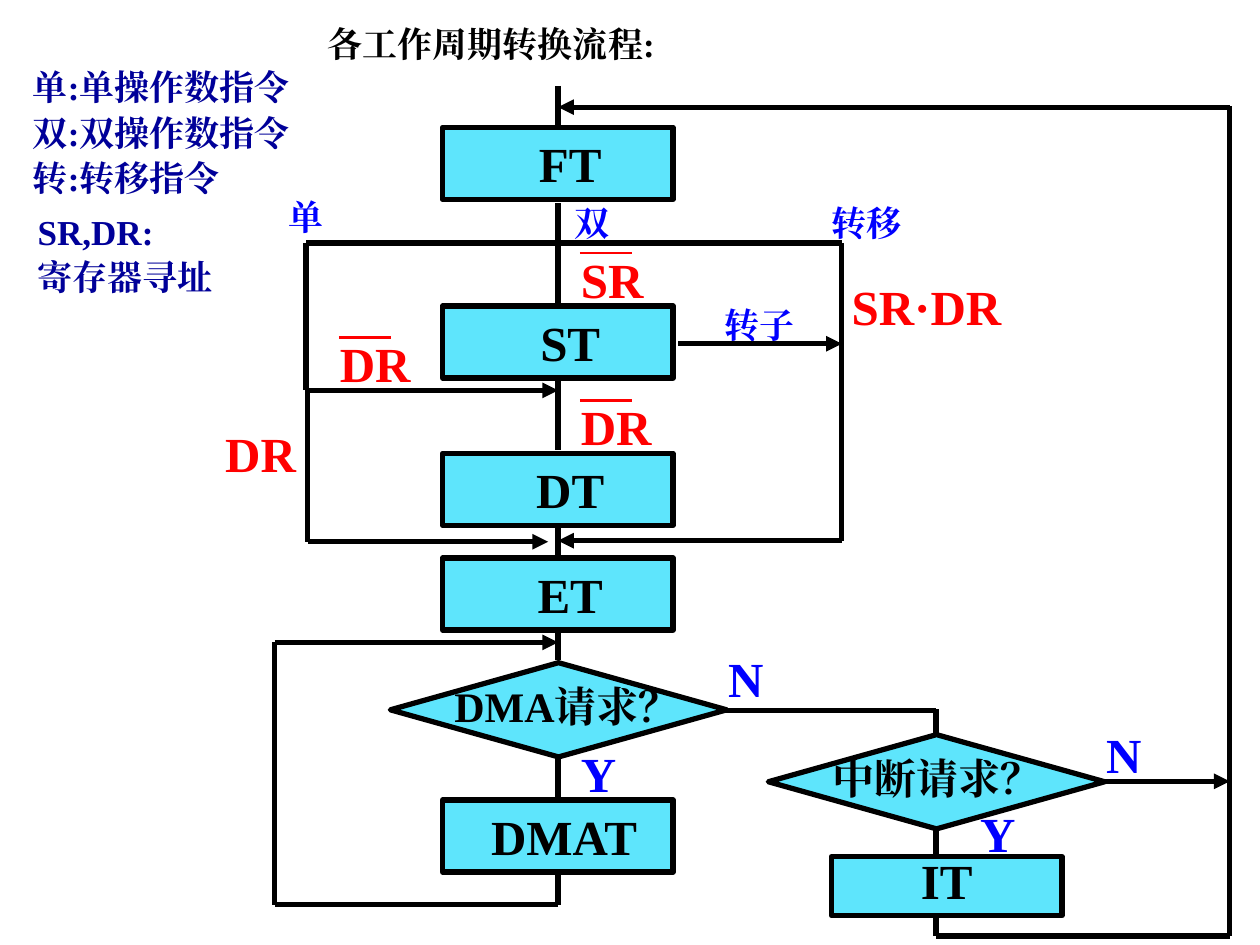
from pptx import Presentation
from pptx.dml.color import RGBColor
from pptx.enum.shapes import MSO_CONNECTOR, MSO_SHAPE
from pptx.enum.text import MSO_ANCHOR, PP_ALIGN
from pptx.oxml.ns import qn
from pptx.util import Cm, Pt
from lxml.etree import SubElement

BLACK, NAVY, BLUE, RED, CYAN = "000000", "000099", "0000FF", "FF0000", "5EE5FC"


def color(value):
    return RGBColor.from_string(value)


class FlowSlide:
    font = "Times New Roman"
    stroke = 3

    def __init__(self, deck):
        self.slide = deck.slides.add_slide(deck.slide_layouts[5])
        self.shapes = self.slide.shapes

    def set_text(self, shape, text, size, ink, align=PP_ALIGN.LEFT, before=0, anchor=MSO_ANCHOR.TOP):
        frame = shape.text_frame
        frame.text = text
        frame.word_wrap = True
        frame.vertical_anchor = anchor
        for paragraph in frame.paragraphs:
            paragraph.alignment = align
            paragraph.space_before = Pt(before)
            for run in paragraph.runs:
                run.font.name, run.font.size, run.font.bold = self.font, Pt(size), True
                run.font.color.rgb = color(ink)
                SubElement(run.font._element, qn("a:ea"), typeface=self.font)

    def title(self, text, x, y, w, h):
        heading = self.shapes.title
        heading.left, heading.top, heading.width, heading.height = Cm(x), Cm(y), Cm(w), Cm(h)
        self.set_text(heading, text, 20, BLACK)

    def label(self, text, x, y, w, size=20, ink=BLUE, before=3):
        box = self.shapes.add_textbox(Cm(x), Cm(y), Cm(w), Cm(size * 0.05))
        self.set_text(box, text, size, ink, before=before)

    def node(self, kind, x, y, w, h):
        shape = self.shapes.add_shape(kind, Cm(x), Cm(y), Cm(w), Cm(h))
        shape.shadow.inherit = False
        shape.fill.solid()
        shape.fill.fore_color.rgb = color(CYAN)
        shape.line.color.rgb = color(BLACK)
        shape.line.width = Pt(self.stroke)
        return shape

    def step(self, text, x, y, h=1.45, indent=0.0, before=3, anchor=MSO_ANCHOR.TOP):
        shape = self.node(MSO_SHAPE.RECTANGLE, x, y, 4.65, h)
        self.set_text(shape, text, 28, BLACK, PP_ALIGN.CENTER, before, anchor)
        shape.text_frame.margin_left = Cm(0.25 + indent)

    def decision(self, text, x, y):
        self.node(MSO_SHAPE.FLOWCHART_DECISION, x, y, 6.78, 1.9)
        self.label(text, x + 1.04, y + 0.23, 5.51, 24, BLACK)

    def line(self, x1, y1, x2, y2, arrow=False, ink=BLACK, width=stroke):
        link = self.shapes.add_connector(MSO_CONNECTOR.STRAIGHT, Cm(x1), Cm(y1), Cm(x2), Cm(y2))
        link.line.color.rgb = color(ink)
        link.line.width = Pt(width)
        if arrow:
            SubElement(link.line._get_or_add_ln(), qn("a:tailEnd"), type="triangle")
        SubElement(link._element.spPr, qn("a:effectLst"))

    def negated(self, text, x, y):
        self.label(text, x, y, 2.54, 28, RED)
        self.line(x + 0.23, y + 0.2, x + 1.28, y + 0.2, ink=RED, width=1.5)


deck = Presentation()
deck.slide_width, deck.slide_height = Cm(25.4), Cm(19.05)
flow = FlowSlide(deck)

# Title and legend
flow.title("各工作周期转换流程:", 6.35, 0.33, 8, 1.1)
flow.label("单:单操作数指令\n双:双操作数指令\n转:转移指令", 0.41, 1.2, 8, ink=NAVY, before=2)
flow.label("SR,DR:\n寄存器寻址", 0.51, 4.11, 7, ink=NAVY, before=2)

# Cycle steps and decisions
spine, left, right, bus = 11.25, 6.17, 16.97, 24.79
interrupt, dma_return = 18.87, 5.54
for name, top in (("FT", 2.57), ("ST", 6.17), ("DT", 9.14), ("ET", 11.25)):
    flow.step(name, 8.92, top, indent=0.5)
flow.step("DMAT", 8.92, 16.13, indent=0.25)
flow.step("IT", 16.76, 17.27, 1.19, before=0, anchor=MSO_ANCHOR.BOTTOM)
flow.decision("DMA请求？", 7.87, 13.36)
flow.decision("中断请求？", 15.49, 14.81)

# Main spine
for start, end in ((1.73, 2.57), (4.09, 6.17), (7.67, 9.07), (10.59, 11.18),
                   (12.73, 13.31), (15.27, 16.13), (17.58, 18.24)):
    flow.line(spine, start, spine, end)

# Branches by instruction type
flow.line(left, 4.9, right, 4.9)
flow.line(left, 4.9, left, 7.87)
flow.line(left, 7.87, spine, 7.87, arrow=True)
flow.line(6.2, 7.82, 6.2, 10.92)
flow.line(6.2, 10.92, 11.05, 10.92, arrow=True)
flow.line(right, 4.9, right, 10.9)
flow.line(right, 10.9, spine, 10.9, arrow=True)
flow.line(13.67, 6.93, right, 6.93, arrow=True)

# DMA loop
flow.line(dma_return, 18.24, spine, 18.24)
flow.line(dma_return, 18.24, dma_return, 12.95)
flow.line(dma_return, 12.95, spine, 12.95, arrow=True)

# Interrupt branch and return to FT
flow.line(14.43, 14.33, interrupt, 14.33)
flow.line(interrupt, 14.3, interrupt, 14.81)
flow.line(interrupt, 16.71, interrupt, 17.27)
flow.line(interrupt, 18.44, interrupt, 18.87)
flow.line(interrupt, 18.87, bus, 18.87)
flow.line(bus, 18.87, bus, 2.13)
flow.line(bus, 2.16, spine, 2.16, arrow=True)
flow.line(22.25, 15.75, bus, 15.75, arrow=True)

# Branch labels
for text, x, y in (("单", 5.56, 3.81), ("双", 11.33, 3.94), ("转移", 16.51, 3.94), ("转子", 14.35, 5.99)):
    flow.label(text, x, y, 2.54)
for text, x, y in (("Y", 11.46, 14.86), ("N", 14.43, 12.95), ("Y", 19.51, 16.08), ("N", 22.05, 14.48)):
    flow.label(text, x, y, 1.9, 28)

# Addressing conditions
for text, x, y in (("SR", 11.46, 4.9), ("DR", 11.46, 7.87), ("DR", 6.6, 6.6)):
    flow.negated(text, x, y)
flow.label("DR", 4.29, 8.41, 2.54, 28, RED)
flow.label("SR·DR", 16.92, 5.44, 3.63, 28, RED)

deck.save("out.pptx")
